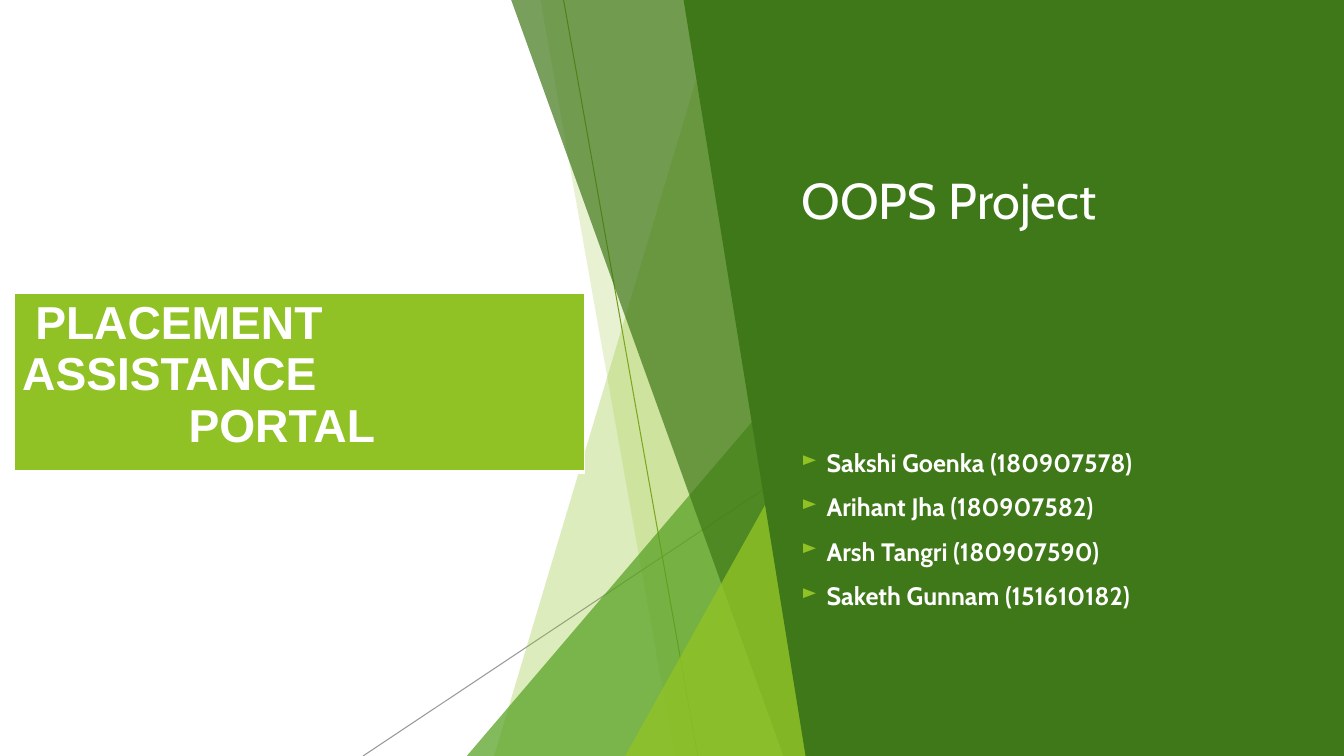
from dataclasses import dataclass
from lxml.etree import SubElement
from pptx import Presentation
from pptx.dml.color import RGBColor
from pptx.enum.shapes import MSO_CONNECTOR, MSO_SHAPE
from pptx.enum.text import MSO_ANCHOR, PP_ALIGN
from pptx.oxml import parse_xml
from pptx.oxml.ns import nsdecls, qn
from pptx.util import Inches, Pt


@dataclass(frozen=True)
class Theme:
    """Colours, fonts and type sizes of the deck."""
    white: str = "FFFFFF"
    lime: str = "90C226"
    leaf: str = "54A021"
    dark: str = "3F7818"
    olive: str = "6C911C"
    grey: str = "7F7F7F"
    sans: str = "Cabin"
    block: str = "Arial"
    head: int = 36
    body: int = 18
    label: int = 33


THEME = Theme()


def fade(node, alpha):
    """Give every plain colour below the node an opacity in percent."""
    for color in node.iter(qn("a:srgbClr")):
        SubElement(color, qn("a:alpha"), val=str(alpha * 1000))


def paint(shape, color, alpha=100):
    """Fill a shape without outline or shadow."""
    shape.shadow.inherit = False
    shape.fill.solid()
    shape.fill.fore_color.rgb = RGBColor.from_string(color)
    shape.line.fill.background()
    if alpha < 100:
        fade(shape.element.spPr, alpha)


def add_facet(slide, points, color, alpha=100):
    """Draw a closed polygon from points in inches."""
    first, *rest = [(Inches(x), Inches(y)) for x, y in points]
    pen = slide.shapes.build_freeform(*first)
    pen.add_line_segments(rest, close=True)
    paint(pen.convert_to_shape(), color, alpha)


def add_wedge(slide, box, color, alpha):
    """Draw a triangle whose tip is at its right edge."""
    shape = slide.shapes.add_shape(MSO_SHAPE.ISOSCELES_TRIANGLE, *map(Inches, box))
    shape.adjustments[0] = 1
    paint(shape, color, alpha)


def add_line(slide, ends, color, alpha=100):
    """Draw a thin straight line."""
    line = slide.shapes.add_connector(MSO_CONNECTOR.STRAIGHT, *map(Inches, ends))
    line.line.width = Pt(0.75)
    line.line.color.rgb = RGBColor.from_string(color)
    if alpha < 100:
        fade(line.element.spPr, alpha)
    SubElement(line.element.spPr, qn("a:effectLst"))


def add_run(para, text, font, size, bold=False):
    """Append a white run to a paragraph."""
    run = para.add_run()
    run.text = text
    run.font.name = font
    run.font.size = Pt(size)
    run.font.bold = bold
    run.font.color.rgb = RGBColor.from_string(THEME.white)


def indent(para, left, first):
    """Set the left margin and first-line indent and return the properties."""
    props = para._p.get_or_add_pPr()
    props.set("marL", str(Inches(left)))
    props.set("indent", str(Inches(first)))
    return props


def set_title(slide, text, box):
    """Place and format the title placeholder."""
    title = slide.shapes.title
    title.left, title.top, title.width, title.height = map(Inches, box)
    frame = title.text_frame
    frame.word_wrap = True
    frame.vertical_anchor = MSO_ANCHOR.MIDDLE
    para = frame.paragraphs[0]
    para.alignment = PP_ALIGN.LEFT
    add_run(para, text, THEME.sans, THEME.head)


def add_list(slide, items, box):
    """Add a bold list with arrow bullets."""
    frame = slide.shapes.add_textbox(*map(Inches, box)).text_frame
    frame.word_wrap = True
    for i, item in enumerate(items):
        para = frame.add_paragraph() if i else frame.paragraphs[0]
        para.space_before = Pt(10 if i else 0)
        props = indent(para, 0.25, -0.25)
        color = SubElement(props, qn("a:buClr"))
        SubElement(color, qn("a:srgbClr"), val=THEME.lime)
        SubElement(props, qn("a:buSzPct"), val="80000")
        SubElement(props, qn("a:buChar"), char="►")
        add_run(para, item, THEME.sans, THEME.body, True)


def add_edge(cell, sides):
    """Give a cell white borders of the given widths in points."""
    props = cell._tc.get_or_add_tcPr()
    for i, (side, width) in enumerate(sides.items()):
        props.insert(i, parse_xml(
            f'<a:ln{side} {nsdecls("a")} w="{Pt(width)}"><a:solidFill>'
            f'<a:srgbClr val="{THEME.white}"/></a:solidFill></a:ln{side}>'))


def add_label(slide, lines, box):
    """Add the one-cell table with indented lines."""
    table = slide.shapes.add_table(1, 1, *map(Inches, box)).table
    table.first_row = table.horz_banding = False
    cell = table.cell(0, 0)
    cell.fill.solid()
    cell.fill.fore_color.rgb = RGBColor.from_string(THEME.lime)
    cell.margin_left = cell.margin_right = Inches(0.08)
    cell.margin_top = cell.margin_bottom = Inches(0.04)
    add_edge(cell, {"L": 1, "R": 1, "T": 1, "B": 3})
    frame = cell.text_frame
    for i, (text, left, first) in enumerate(lines):
        para = frame.add_paragraph() if i else frame.paragraphs[0]
        indent(para, left, first)
        add_run(para, text, THEME.block, THEME.label, True)


def add_fan(slide):
    """Draw the fan of facets between the two halves."""
    edge, base = 8.19, 7.5
    add_line(slide, (5.59, 0, 6.92, base), THEME.olive)
    add_line(slide, (8.81, 4.03, 3.6, base), THEME.grey, 80)

    def add_blade(top, foot, color, alpha):
        """Draw a facet that runs to the shared right edge."""
        points = [(top, 0), (edge, 0), (edge, base), (foot, base)]
        add_facet(slide, points, color, alpha)

    def add_spike(left, top, color, alpha):
        """Draw a wedge that stands in the shared corner."""
        add_wedge(slide, (left, top, edge - left, base - top), color, alpha)

    add_blade(7.14, 4.9, THEME.lime, 30)
    add_blade(5.36, 6.69, THEME.lime, 20)
    add_spike(4.63, 3.33, THEME.leaf, 72)
    add_blade(5.07, 7.77, THEME.dark, 70)
    add_spike(6.2, 3.93, THEME.lime, 80)
    panel = [(6.78, 0), (13.33, 0), (13.33, base), (7.99, base)]
    add_facet(slide, panel, THEME.dark)


def main():
    """Build and save the slide."""
    deck = Presentation()
    deck.slide_width, deck.slide_height = Inches(13.33), Inches(7.5)
    slide = deck.slides.add_slide(deck.slide_layouts[5])
    add_fan(slide)
    set_title(slide, "OOPS Project", (7.85, 0.76, 4.94, 2.44))
    slide.shapes.element.append(slide.shapes.title.element)
    team = ["Sakshi Goenka (180907578)", "Arihant Jha (180907582)",
            "Arsh Tangri (180907590)", "Saketh Gunnam (151610182)"]
    add_list(slide, team, (7.85, 4.39, 4.02, 1.75))
    lines = [("PLACEMENT ASSISTANCE", 0, 0.13), ("PORTAL", 1.65, 0)]
    add_label(slide, lines, (0.14, 2.91, 5.66, 1.77))
    deck.save("out.pptx")


if __name__ == "__main__":
    main()
